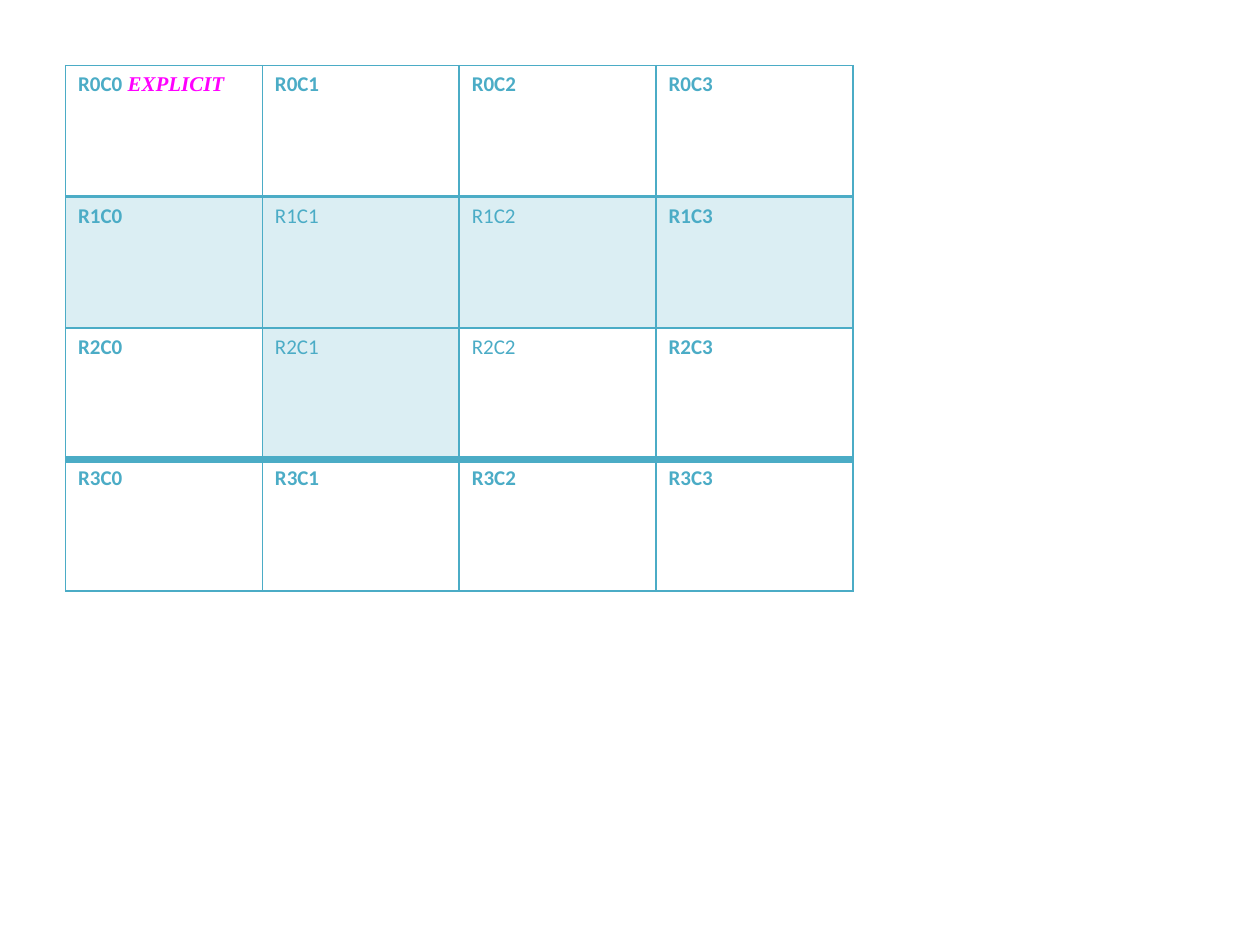
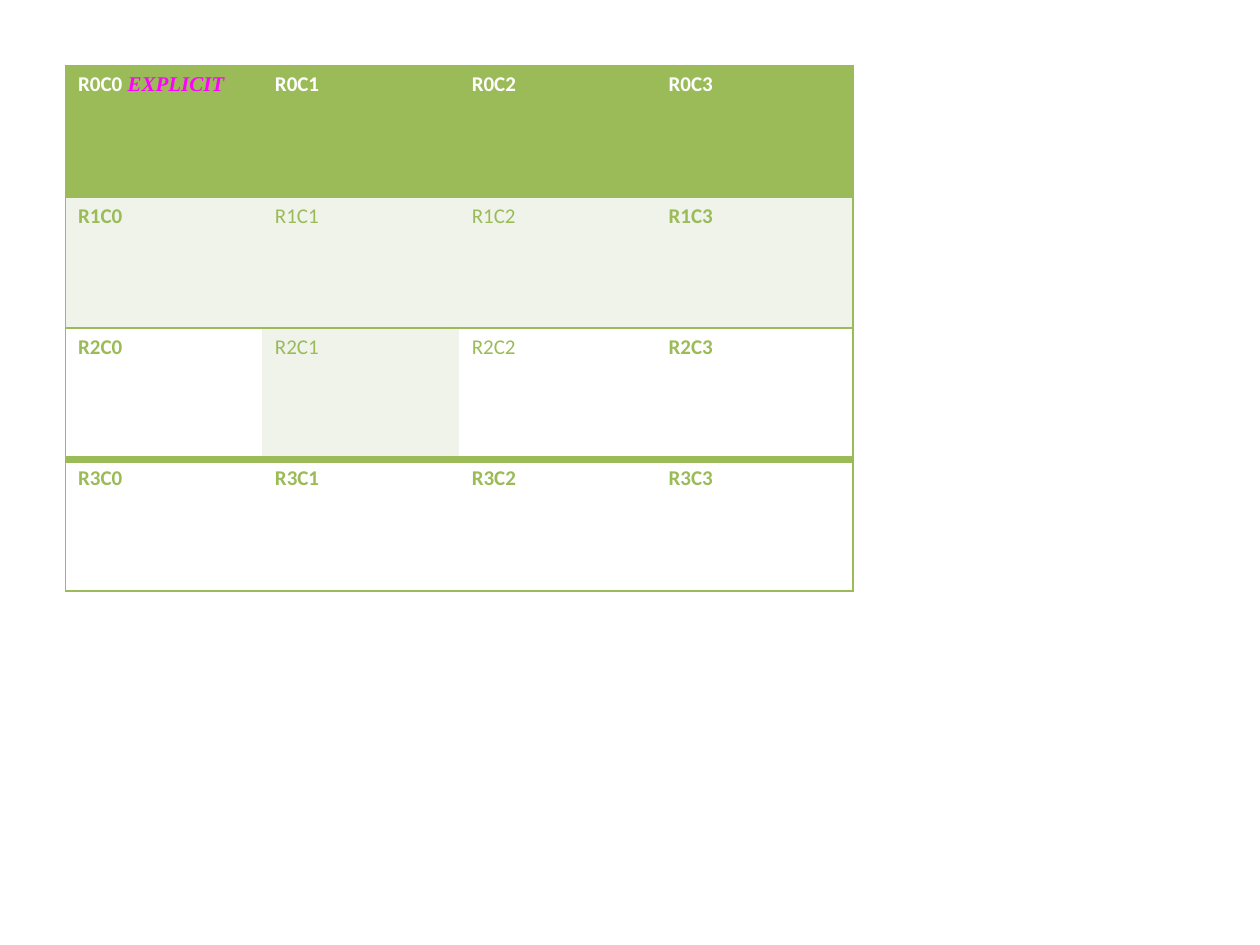
import dataclasses

import pptx
import pptx.dml.color
import pptx.oxml
import pptx.oxml.ns
import pptx.util
from pptx.util import Inches


@dataclasses.dataclass(frozen=True)
class Theme:
    aqua: str = "4BACC6"
    green: str = "9BBB59"
    pale_green: str = "EFF3EA"
    white: str = "FFFFFF"
    magenta: str = "FF00FF"
    body_font: str = "Calibri"
    explicit_font: str = "Times New Roman"
    text_size: int = 12
    count: int = 4
    tint_percent: int = 20


class Deck:
    """Hold the theme and the current slide, and draw styled tables on it."""

    def __init__(self, theme):
        self.theme = theme
        self.presentation = pptx.Presentation()
        self.presentation.slide_width = Inches(10)
        self.presentation.slide_height = Inches(7.5)
        self.slide = None

    def add_slide(self):
        self.slide = self.presentation.slides.add_slide(self.presentation.slide_layouts[6])

    def color(self, value):
        return pptx.dml.color.RGBColor.from_string(value)

    def add_border(self, cell, side, color, width):
        paint = f'<a:solidFill><a:srgbClr val="{color}"/></a:solidFill>' if width else "<a:noFill/>"
        cell._tc.get_or_add_tcPr().append(pptx.oxml.parse_xml(
            f'<a:ln{side} {pptx.oxml.ns.nsdecls("a")} w="{pptx.util.Pt(width)}">{paint}</a:ln{side}>'))

    def fill_cell(self, cell, color, opacity=100):
        if color is None:
            cell.fill.background()
            return
        cell.fill.solid()
        cell.fill.fore_color.rgb = self.color(color)
        if opacity < 100:
            solid = cell._tc.tcPr.find(pptx.oxml.ns.qn("a:solidFill"))
            solid[0].append(pptx.oxml.parse_xml(
                f'<a:alpha {pptx.oxml.ns.nsdecls("a")} val="{opacity * 1000}"/>'))

    def write_cell(self, cell, row, column, color):
        theme = self.theme
        paragraph = cell.text_frame.paragraphs[0]
        paragraph.font.size = pptx.util.Pt(theme.text_size)
        edges = (0, theme.count - 1)
        paragraph.font.bold = row in edges or column in edges
        label = paragraph.add_run()
        label.text = f"R{row}C{column}"
        if (row, column) != (0, 0):
            paragraph.font.name = theme.body_font
            paragraph.font.color.rgb = self.color(color)
            return
        label.font.name = theme.body_font
        label.font.color.rgb = self.color(color)
        explicit = paragraph.add_run()
        explicit.text = " EXPLICIT"
        explicit.font.name = theme.explicit_font
        explicit.font.italic = True
        explicit.font.color.rgb = self.color(theme.magenta)

    def add_table(self, accent, header_text, header_fill, plain_fill, band, row_rules, column_rules):
        count = self.theme.count
        grid = self.slide.shapes.add_table(
            count, count, Inches(0.52), Inches(0.52), Inches(6.25), Inches(4.17)).table
        grid.first_row = grid.horz_banding = False
        for row in range(count):
            for column in range(count):
                cell = grid.cell(row, column)
                self.write_cell(cell, row, column, accent if row else header_text)
                for side, width in (("L", column_rules[column]), ("R", column_rules[column + 1]),
                                    ("T", row_rules[row]), ("B", row_rules[row + 1])):
                    self.add_border(cell, side, accent, width)
                if row == 1 or (row, column) == (2, 1):
                    self.fill_cell(cell, *band)
                else:
                    self.fill_cell(cell, plain_fill if row else header_fill)


def main():
    theme = Theme()
    deck = Deck(theme)
    deck.add_slide()
    deck.add_table(theme.aqua, theme.aqua, None, None, (theme.aqua, theme.tint_percent),
                   row_rules=(1, 2, 1, 4, 1), column_rules=(1, 1, 1, 1, 1))
    deck.add_slide()
    deck.add_table(theme.green, theme.white, theme.green, theme.white, (theme.pale_green,),
                   row_rules=(1, 1, 1, 4, 1), column_rules=(1, 0, 0, 0, 1))
    deck.presentation.save("out.pptx")


if __name__ == "__main__":
    main()
